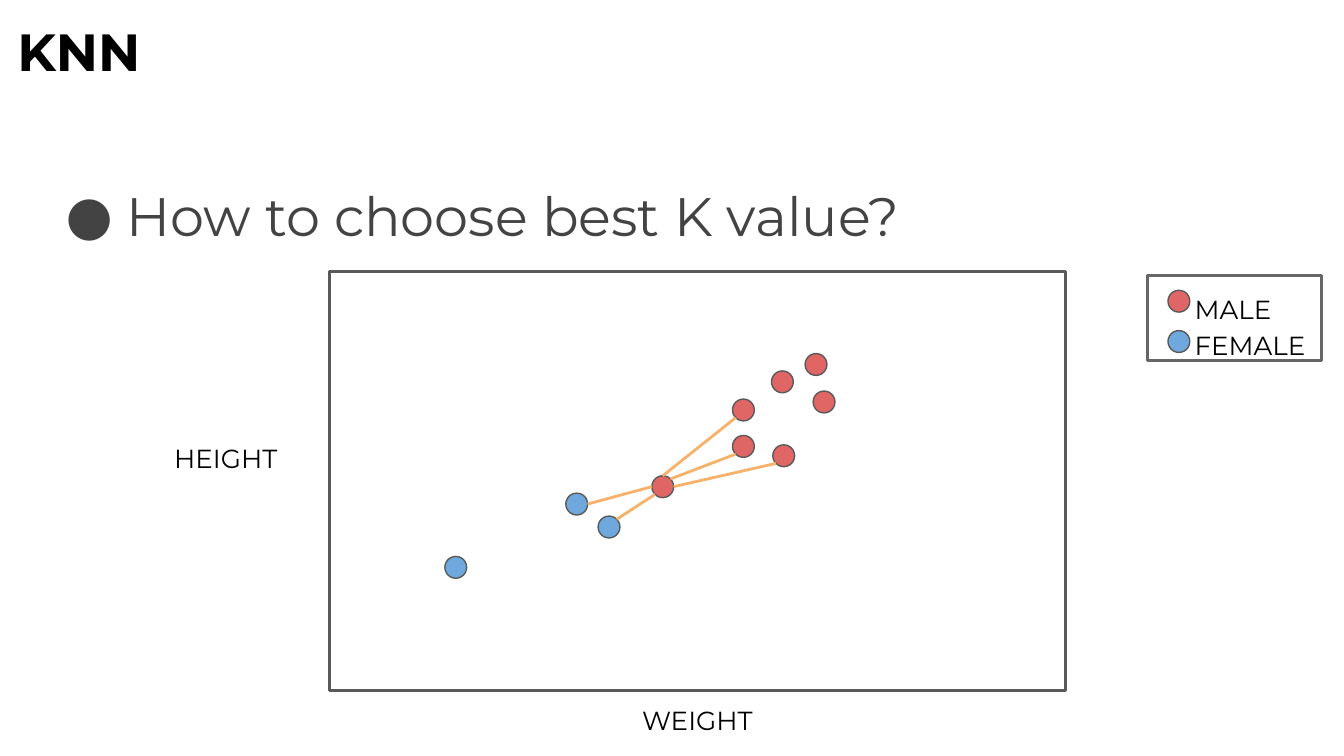
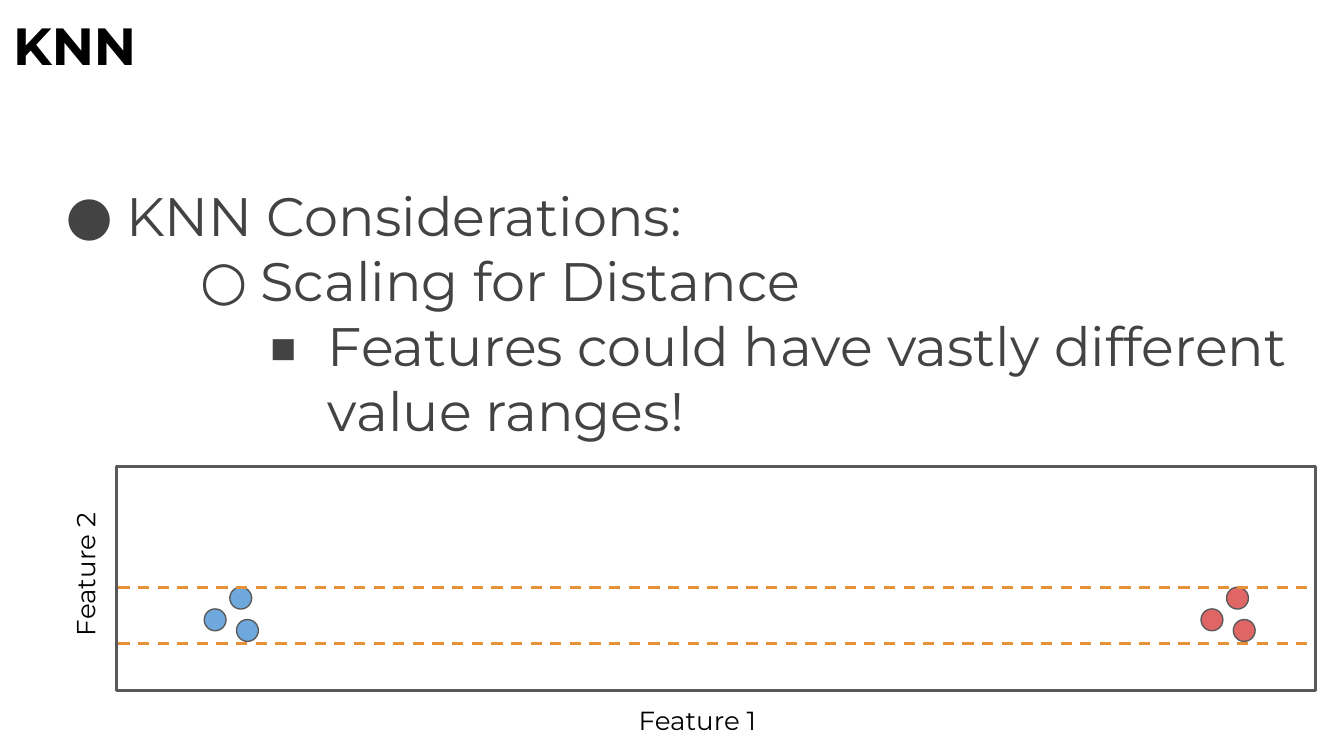
from math import cos, radians, sin

from lxml.etree import SubElement
from pptx import Presentation
from pptx.dml.color import RGBColor
from pptx.enum.dml import MSO_LINE_DASH_STYLE as Dash
from pptx.enum.shapes import MSO_CONNECTOR as Connector, MSO_SHAPE as Shape
from pptx.enum.text import MSO_ANCHOR as Anchor, PP_ALIGN as Align
from pptx.oxml.ns import qn
from pptx.util import Pt

BLACK = RGBColor(0x00, 0x00, 0x00)
BODY_GREY = RGBColor(0x43, 0x43, 0x43)
FRAME_GREY = RGBColor(0x59, 0x59, 0x59)
LEGEND_GREY = RGBColor(0x66, 0x66, 0x66)
BLUE = RGBColor(0x6F, 0xA8, 0xDC)
RED = RGBColor(0xE0, 0x66, 0x66)
LIGHT_ORANGE = RGBColor(0xF6, 0xB2, 0x6B)
ORANGE = RGBColor(0xE6, 0x91, 0x38)

FONT = "Montserrat"
DOT = 11.7
# Bullet sign and left margin for each outline level
LEVELS = [("●", 36), ("○", 108), ("■", 144)]
HANGING = 32.4


def rim(dot, degrees):
    """Point on a dot's outline, counted anticlockwise from its right side."""
    left, top = dot
    radius, angle = DOT / 2, radians(degrees)
    return left + radius + radius * cos(angle), top + radius - radius * sin(angle)


class Deck:
    def __init__(self):
        self.prs = Presentation()
        self.prs.slide_width, self.prs.slide_height = Pt(720), Pt(405)
        self.slide = None

    def new_slide(self, title, left, top):
        self.slide = self.prs.slides.add_slide(self.prs.slide_layouts[6])
        frame = self.text_frame(left, top, 613.4, 45.4)
        self.add_text(frame.paragraphs[0], title, 28, bold=True)

    def text_frame(self, left, top, width, height, rotation=0):
        box = self.slide.shapes.add_textbox(Pt(left), Pt(top), Pt(width), Pt(height))
        box.rotation = rotation
        return self.prepare(box.text_frame)

    def prepare(self, frame):
        frame.word_wrap = True
        frame.vertical_anchor = Anchor.TOP
        frame.margin_left = frame.margin_right = Pt(7.2)
        frame.margin_top = frame.margin_bottom = Pt(7.2)
        return frame

    def add_text(self, paragraph, text, size, color=BLACK, bold=False):
        run = paragraph.add_run()
        run.text = text
        run.font.name, run.font.size, run.font.bold = FONT, Pt(size), bold
        run.font.color.rgb = color

    def paragraphs(self, frame, texts):
        for i, text in enumerate(texts):
            yield (frame.add_paragraph() if i else frame.paragraphs[0]), text

    def outline(self, width, height, *points):
        """Bulleted text, each point one level deeper than the last."""
        frame = self.text_frame(24.5, 90.7, width, height)
        for level, (paragraph, text) in enumerate(self.paragraphs(frame, points)):
            sign, margin = LEVELS[level]
            paragraph.level = level
            props = paragraph._p.get_or_add_pPr()
            props.set("marL", str(Pt(margin)))
            props.set("indent", str(-Pt(HANGING)))
            bullet_color = SubElement(props, qn("a:buClr"))
            SubElement(bullet_color, qn("a:srgbClr")).set("val", str(BODY_GREY))
            SubElement(props, qn("a:buFont")).set("typeface", FONT)
            SubElement(props, qn("a:buChar")).set("char", sign)
            self.add_text(paragraph, text, 29, BODY_GREY)

    def axis_label(self, text, left, top, rotation=0):
        paragraph = self.text_frame(left, top, 105.1, 18, rotation).paragraphs[0]
        paragraph.alignment = Align.CENTER
        self.add_text(paragraph, text, 14)

    def shape(self, kind, left, top, width, height, line, weight):
        shape = self.slide.shapes.add_shape(kind, Pt(left), Pt(top), Pt(width), Pt(height))
        shape.shadow.inherit = False
        shape.fill.background()
        shape.line.color.rgb, shape.line.width = line, Pt(weight)
        return shape

    def frame(self, left, top, width, height, line=FRAME_GREY):
        return self.shape(Shape.RECTANGLE, left, top, width, height, line, 1.5)

    def dots(self, color, places):
        for left, top in places:
            dot = self.shape(Shape.OVAL, left, top, DOT, DOT, FRAME_GREY, 0.75)
            dot.fill.solid()
            dot.fill.fore_color.rgb = color

    def legend(self, left, top, entries):
        box = self.frame(left, top, 92.9, 45.4, LEGEND_GREY)
        frame = self.prepare(box.text_frame)
        for paragraph, text in self.paragraphs(frame, [name for name, _ in entries]):
            paragraph.alignment, paragraph.line_spacing = Align.LEFT, 1.15
            paragraph._p.get_or_add_pPr().set("marL", str(Pt(18)))
            self.add_text(paragraph, text, 14)
        for i, (_, color) in enumerate(entries):
            self.dots(color, [(left + 10.8, top + 7.9 + 21.6 * i)])

    def line(self, start, end, color, dash=None):
        line = self.slide.shapes.add_connector(
            Connector.STRAIGHT, *[Pt(length) for length in (*start, *end)])
        line.line.color.rgb, line.line.width = color, Pt(1.5)
        if dash:
            line.line.dash_style = dash
        SubElement(line._element.spPr, qn("a:effectLst"))


def choosing_k(deck):
    deck.new_slide("KNN", 2.2, 2.9)
    deck.frame(176.4, 145.4, 394.6, 224.6)
    deck.outline(695.5, 78.5, "How to choose best K value?")

    # Labelled points, and the new one between the classes
    females = [(238.3, 298.1), (303.1, 264.2), (320.4, 276.5)]
    males = [(392.4, 213.8), (414, 238.3), (392.4, 233.3),
             (431.3, 189.4), (435.6, 209.5), (413.3, 198.7)]
    new_point = (349.2, 254.9)
    deck.dots(BLUE, females)
    deck.dots(RED, males)
    deck.legend(614.9, 147.6, [("MALE", RED), ("FEMALE", BLUE)])
    deck.dots(RED, [new_point])
    deck.axis_label("WEIGHT", 321.1, 370.1)
    deck.axis_label("HEIGHT", 68.4, 229.7)

    # Links from the new point to its five nearest neighbours
    for leaving, neighbour, arriving in [
            (225, females[2], 45), (180, females[1], 0),
            (45, males[2], 225), (0, males[1], 225), (90, males[0], 225)]:
        deck.line(rim(new_point, leaving), rim(neighbour, arriving), LIGHT_ORANGE)


def scaling(deck):
    deck.new_slide("KNN", 0, 0)
    deck.outline(684, 269.3, "KNN Considerations:", "Scaling for Distance",
                 "Features could have vastly different value ranges!")
    deck.frame(62.6, 249.8, 642.2, 120.2)
    deck.axis_label("Feature 1", 321.1, 370.1)
    deck.axis_label("Feature 2", -13.7, 298.8, rotation=270)

    # Two equal clusters, far apart along feature 1 only
    cluster = [(109.4, 326.2), (123.1, 314.6), (126.7, 331.9)]
    for color, shift in [(BLUE, 0), (RED, 534)]:
        deck.dots(color, [(left + shift, top) for left, top in cluster])

    # Narrow range of feature 2
    for height in (344.9, 314.6):
        deck.line((63.4, height), (702.7, height), ORANGE, Dash.DASH)


def main():
    deck = Deck()
    choosing_k(deck)
    scaling(deck)
    deck.prs.save("out.pptx")


if __name__ == "__main__":
    main()
